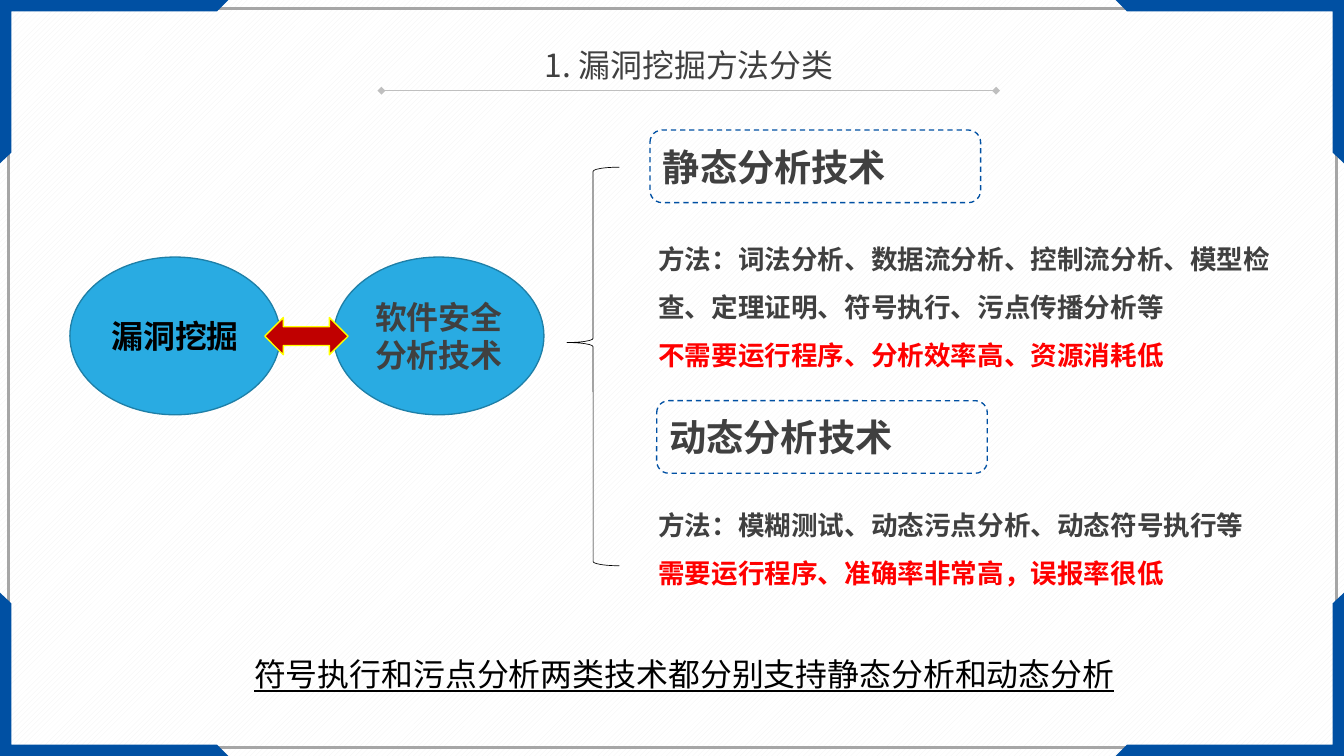
from itertools import product

from lxml.etree import SubElement
from pptx import Presentation
from pptx.dml.color import RGBColor
from pptx.enum.dml import MSO_LINE as Dash, MSO_PATTERN as Pattern
from pptx.enum.shapes import MSO_CONNECTOR as Link, MSO_SHAPE as Shape
from pptx.enum.text import MSO_ANCHOR as Anchor, PP_ALIGN as Align
from pptx.oxml.ns import qn
from pptx.util import Inches, Pt

NAVY = RGBColor(0x00, 0x50, 0xA3)
SKY = RGBColor(0x29, 0xAB, 0xE2)
TEAL = RGBColor(0x1E, 0x7F, 0xA7)
BLACK = RGBColor(0x00, 0x00, 0x00)
DARK = RGBColor(0x40, 0x40, 0x40)
GRAY = RGBColor(0xA6, 0xA6, 0xA6)
SILVER = RGBColor(0xBF, 0xBF, 0xBF)
PALE = RGBColor(0xF2, 0xF2, 0xF2)
WHITE = RGBColor(0xFF, 0xFF, 0xFF)
CRIMSON = RGBColor(0xC0, 0x00, 0x00)
RED = RGBColor(0xFF, 0x00, 0x00)
YELLOW = RGBColor(0xFF, 0xFF, 0x00)


class Board:
    font = "Noto Sans CJK SC"
    grid = 100

    def __init__(self, deck):
        self.deck = deck
        self.slide = deck.slides.add_slide(deck.slide_layouts[6])
        self.shapes = self.slide.shapes

    def x(self, cols):
        return round(self.deck.slide_width * cols / self.grid)

    def y(self, rows):
        return round(self.deck.slide_height * rows / self.grid)

    def box(self, left, top, width, height):
        return self.x(left), self.y(top), self.x(width), self.y(height)

    def ground(self, front, back):
        fill = self.slide.background.fill
        fill.patterned()
        fill.pattern = Pattern.WIDE_UPWARD_DIAGONAL
        fill.fore_color.rgb = front
        fill.back_color.rgb = back

    def paint(self, item, fill=None, line=None, width=1):
        item.shadow.inherit = False
        if fill is None:
            item.fill.background()
        else:
            item.fill.solid()
            item.fill.fore_color.rgb = fill
        if line is None:
            item.line.fill.background()
        else:
            item.line.color.rgb = line
            item.line.width = Pt(width)

    def shape(self, kind, place, **paint):
        item = self.shapes.add_shape(kind, *self.box(*place))
        self.paint(item, **paint)
        return item

    def corner(self, points, fill):
        start, *rest = [(self.x(x), self.y(y)) for x, y in points]
        pen = self.shapes.build_freeform(*start)
        pen.add_line_segments(rest, close=True)
        self.paint(pen.convert_to_shape(), fill=fill)

    def letter(self, item, rows, size, font=None, bold=False, line=False,
               align=Align.LEFT, space=None):
        frame = item.text_frame
        frame.text = "\n".join(words for words, _ in rows)
        for para, (_, color) in zip(frame.paragraphs, rows):
            para.alignment = align
            para.line_spacing = space
            for run in para.runs:
                style = run.font
                style.size = Pt(size)
                style.bold = bold
                style.underline = line
                style.color.rgb = color
                style.name = font or self.font
                SubElement(style._rPr, qn("a:ea"), typeface=self.font)

    def label(self, kind, place, words, size, color, align=Align.LEFT,
              font=None, **paint):
        item = self.shape(kind, place, **paint)
        item.text_frame.word_wrap = True
        item.text_frame.vertical_anchor = Anchor.MIDDLE
        self.letter(item, [(words, color)], size, font, bold=True, align=align)
        return item

    def text(self, place, rows, size, wrap=True, **style):
        item = self.shapes.add_textbox(*self.box(*place))
        item.text_frame.word_wrap = wrap
        self.letter(item, rows, size, **style)

    def rule(self, left, right, top, color):
        item = self.shapes.add_connector(
            Link.STRAIGHT, self.x(left), self.y(top), self.x(right), self.y(top))
        item.line.color.rgb = color
        item.line.width = Pt(0.5)
        edge = item.line._get_or_add_ln()
        for end in ("a:headEnd", "a:tailEnd"):
            SubElement(edge, qn(end), type="diamond")
        SubElement(item._element.spPr, qn("a:effectLst"))


deck = Presentation()
deck.slide_width, deck.slide_height = Inches(14.06), Inches(7.91)
board = Board(deck)
board.ground(PALE, WHITE)

board.shape(Shape.RECTANGLE, (0.64, 1.14, 98.8, 97.73), line=GRAY, width=2)
CORNER = [(0, 0), (17, 0), (16.15, 1.5), (0.84, 1.5), (0.84, 20.2), (0, 21.6)]
for right, low in product((0, 100), repeat=2):
    board.corner([(abs(right - x), abs(low - y)) for x, y in CORNER], NAVY)

for left, words, color, font in (
        (5.2, "漏洞挖掘", BLACK, "Arial"),
        (24.82, "软件安全分析技术", DARK, None)):
    board.label(Shape.OVAL, (left, 34, 15.65, 20.86), words, 24, color,
                align=Align.CENTER, font=font, fill=SKY, line=TEAL)
board.shape(Shape.LEFT_RIGHT_ARROW, (19.7, 42, 6.2, 4.93),
            fill=CRIMSON, line=YELLOW)

for left, top, words in (
        (48.36, 17.2, "静态分析技术"),
        (48.86, 53, "动态分析技术")):
    item = board.label(Shape.ROUNDED_RECTANGLE, (left, top, 24.6, 9.6),
                       words, 28, DARK, line=NAVY)
    item.line.dash_style = Dash.DASH

brace = board.shape(Shape.LEFT_BRACE, (42.18, 22.12, 3.9, 52.72),
                    line=BLACK, width=0.5)
brace.adjustments[0], brace.adjustments[1] = 0.08, 0.44

for top, width, height, wrap, method, trait in (
        (29.46, 47.58, 19.72, True,
         "方法：词法分析、数据流分析、控制流分析、模型检查、定理证明、符号执行、污点传播分析等",
         "不需要运行程序、分析效率高、资源消耗低"),
        (64.6, 45.3, 14.03, False,
         "方法：模糊测试、动态污点分析、动态符号执行等",
         "需要运行程序、准确率非常高，误报率很低")):
    board.text((48.29, top, width, height), [(method, DARK), (trait, RED)],
               20, wrap=wrap, bold=True, space=1.5)

board.rule(28.38, 74.11, 12, SILVER)
board.text((25.96, 5.44, 50.64, 6.32), [("1. 漏洞挖掘方法分类", DARK)], 24,
           align=Align.CENTER)
board.text((18.2, 85.97, 66.07, 6.32),
           [("符号执行和污点分析两类技术都分别支持静态分析和动态分析", BLACK)],
           24, wrap=False, font="Calibri", line=True)

deck.save("out.pptx")
